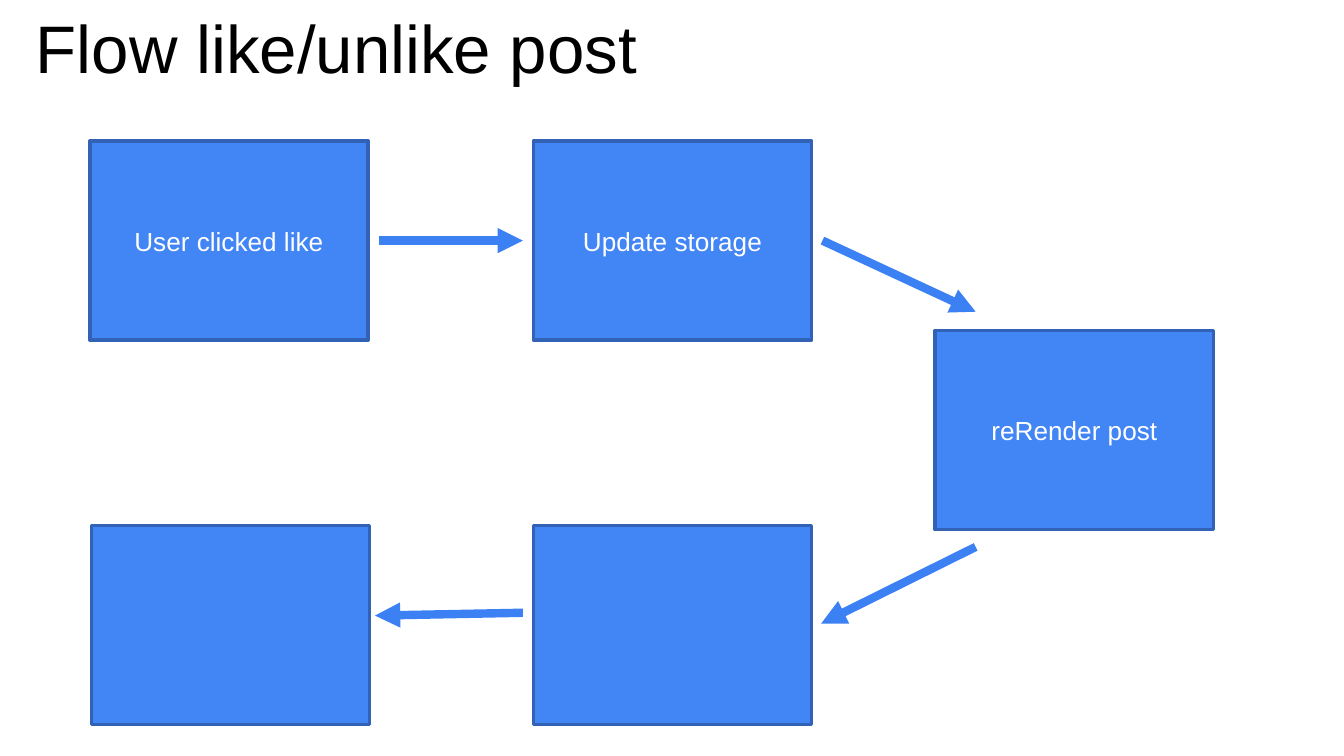
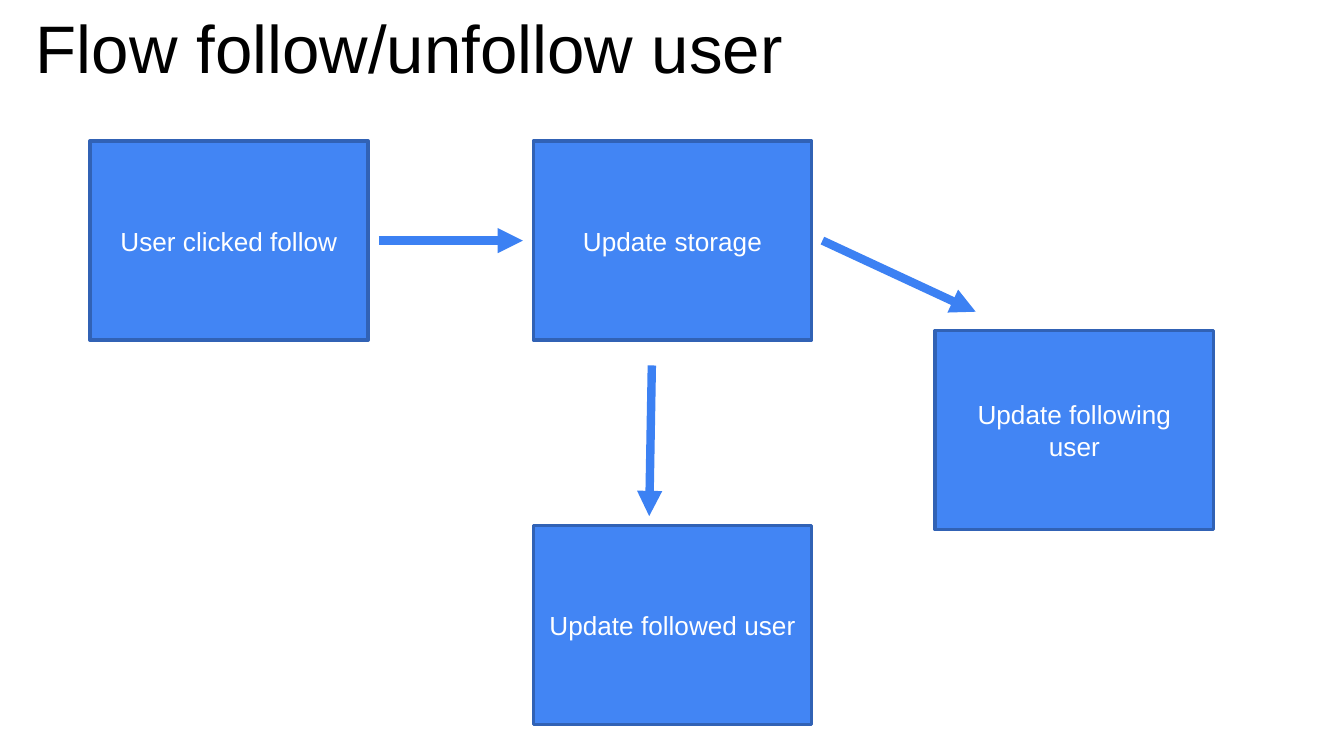
"""Build two flow diagrams: liking a post and following a user."""
from lxml import etree
from pptx import Presentation
from pptx.dml.color import RGBColor
from pptx.enum.shapes import MSO_CONNECTOR, MSO_SHAPE
from pptx.enum.text import MSO_ANCHOR, PP_ALIGN
from pptx.oxml.ns import qn
from pptx.util import Pt

RECT = MSO_SHAPE.RECTANGLE
STRAIGHT = MSO_CONNECTOR.STRAIGHT
MIDDLE, BOTTOM = MSO_ANCHOR.MIDDLE, MSO_ANCHOR.BOTTOM
LEFT, CENTER = PP_ALIGN.LEFT, PP_ALIGN.CENTER

BLACK = RGBColor(0x00, 0x00, 0x00)
WHITE = RGBColor(0xFF, 0xFF, 0xFF)
BOX_FILL = RGBColor(0x42, 0x85, 0xF4)
BOX_LINE = RGBColor(0x31, 0x62, 0xB5)
ARROW = RGBColor(0x3C, 0x81, 0xF3)
FONT = "Arial"

BOX_W, BOX_H = 149, 106.6
STEPS = {
    "start": (48.2, 75.6),
    "storage": (285.8, 75.6),
    "right": (501.1, 177.1),
    "below": (285.8, 281.5),
    "end": (49, 281.5),
}
ARROWS = {
    "start to storage": (203, 128.9, 280.1, 128.9),
    "storage to right": (440.6, 128.9, 522.7, 167),
    "right to below": (522.7, 293, 439.9, 334.1),
    "below to end": (280.1, 328.3, 200.9, 329.8),
    "storage to below": (349.2, 195.8, 347.8, 276.5),
}
FLOWS = [
    {
        "title": "Flow like/unlike post",
        "steps": {"start": "User clicked like", "storage": "Update storage",
                  "right": "reRender post", "below": "", "end": ""},
        "arrows": ["start to storage", "storage to right",
                   "right to below", "below to end"],
    },
    {
        "title": "Flow follow/unfollow user",
        "steps": {"start": "User clicked follow", "storage": "Update storage",
                  "right": "Update following user",
                  "below": "Update followed user"},
        "arrows": ["start to storage", "storage to right",
                   "storage to below"],
    },
]


def write(shape, text, size, color, anchor, align):
    tf = shape.text_frame
    tf.word_wrap = True
    tf.vertical_anchor = anchor
    tf.text = text
    p = tf.paragraphs[0]
    p.alignment = align
    for r in p.runs:
        r.font.name = FONT
        r.font.size = Pt(size)
        r.font.color.rgb = color


def add_title(s, text):
    box = s.shapes.add_textbox(Pt(12.2), Pt(31), Pt(671), Pt(23))
    tf = box.text_frame
    tf.margin_left = tf.margin_right = Pt(7.2)
    tf.margin_top = tf.margin_bottom = Pt(7.2)
    write(box, text, 36, BLACK, BOTTOM, LEFT)


def add_step(s, left, top, text):
    sp = s.shapes.add_shape(RECT, Pt(left), Pt(top), Pt(BOX_W), Pt(BOX_H))
    sp.shadow.inherit = False
    sp.fill.solid()
    sp.fill.fore_color.rgb = BOX_FILL
    sp.line.color.rgb = BOX_LINE
    sp.line.width = Pt(2)
    write(sp, text, 14, WHITE, MIDDLE, CENTER)


def add_arrow(s, *ends):
    arrow = s.shapes.add_connector(STRAIGHT, *map(Pt, ends))
    arrow.line.color.rgb = ARROW
    arrow.line.width = Pt(4.5)
    etree.SubElement(arrow.line._get_or_add_ln(), qn("a:tailEnd"), type="triangle")
    etree.SubElement(arrow._element.spPr, qn("a:effectLst"))


def main():
    prs = Presentation()
    prs.slide_width, prs.slide_height = Pt(720), Pt(405)
    for flow in FLOWS:
        s = prs.slides.add_slide(prs.slide_layouts[6])
        add_title(s, flow["title"])
        for step, text in flow["steps"].items():
            add_step(s, *STEPS[step], text)
        for name in flow["arrows"]:
            add_arrow(s, *ARROWS[name])
    prs.save("out.pptx")


if __name__ == "__main__":
    main()
